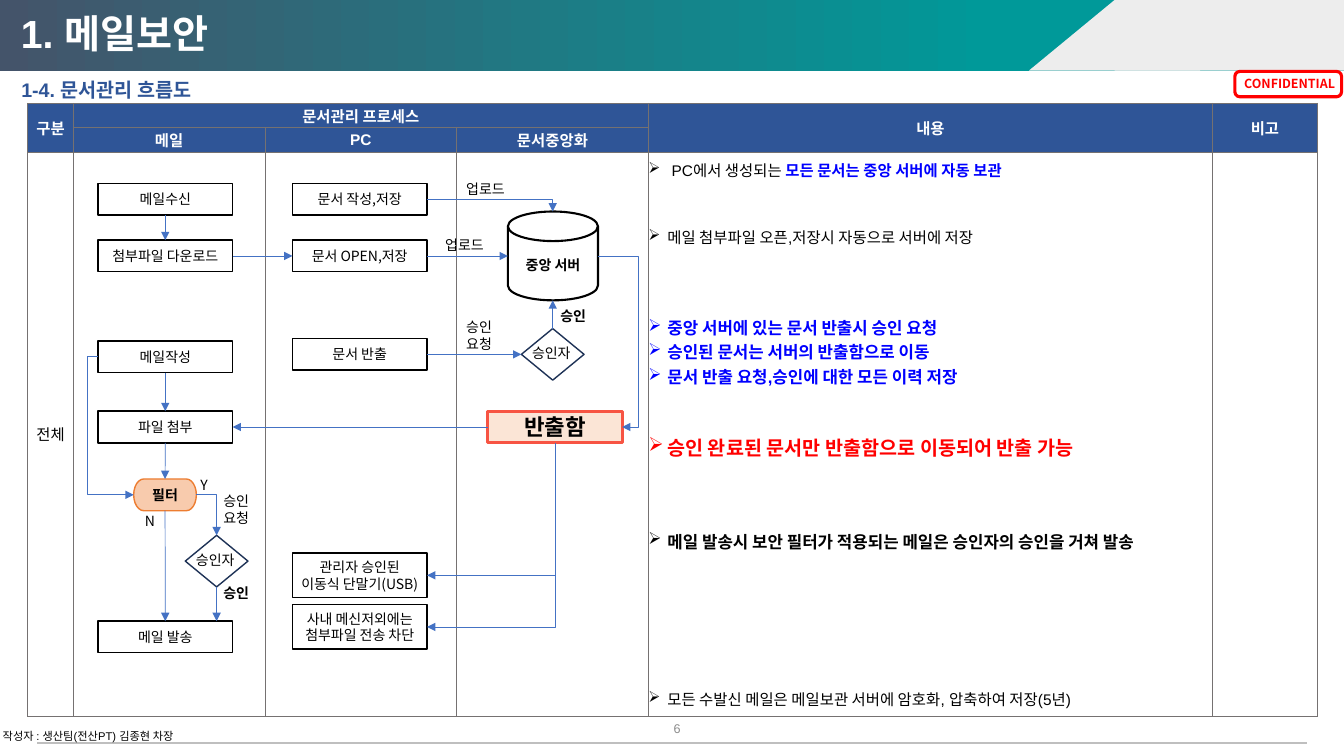
from lxml import etree
from pptx import Presentation
from pptx import util as u
from pptx.dml.color import RGBColor
from pptx.enum import shapes, text
from pptx.oxml import parse_xml
from pptx.oxml.ns import nsdecls, qn

Cm, Pt = u.Cm, u.Pt
SANS, KOREAN = "Arial", "Noto Sans CJK KR"
NAVY, GREY, BLACK, WHITE, RED, BLUE = "2F5597", "EDEDED", "000000", "FFFFFF", "FF0000", "0000FF"
PRESET = shapes.MSO_SHAPE
ALIGN, ANCHOR = text.PP_ALIGN, text.MSO_ANCHOR
TOP, LEFT, BOTTOM, RIGHT = range(4)

BOX_W, BOX_H, TALL_H = 3.39, 0.8, 1.12
MAIL_X, PC_X, RETURN_X = 2.47, 7.37, 12.29
NODE_W, DIAMOND_H = 1.58, 1.3
COLUMNS = (1.15, 4.83, 4.83, 4.83, 14.22, 2.64)
ROWS = (0.62, 0.62, 14.2)
BLANK_LINE = 16

NORMAL = {"size": 11, "color": BLACK}
STRONG = {"size": 12, "bold": True}
# lines of room above, then the runs of each point
POINTS = [
    (0, [(" PC에서 생성되는 ", NORMAL),
         ("모든 문서는 중앙 서버에 자동 보관", {"size": 11, "color": BLUE, "bold": True})]),
    (2, [("메일 첨부파일 오픈,저장시 자동으로 서버에 저장", NORMAL)]),
    (3, [("중앙 서버에 있는 문서 반출시 승인 요청", {**STRONG, "color": BLUE})]),
    (0, [("승인된 문서는 서버의 반출함으로 이동", {**STRONG, "color": BLUE})]),
    (0, [("문서 반출 요청,승인에 대한 모든 이력 저장", {**STRONG, "color": BLUE})]),
    (2, [("승인 완료된 문서만 반출함으로 이동되어 반출 가능",
          {"size": 14, "color": RED, "bold": True})]),
    (3, [("메일 발송시 보안 필터가 적용되는 메일은 승인자의 승인을 거쳐 발송",
          {**STRONG, "color": BLACK})]),
    (6, [("모든 수발신 메일은 메일보관 서버에 암호화, 압축하여 저장(5년)", NORMAL)]),
]


def rgb(value):
    return RGBColor.from_string(value)


def add_run(paragraph, words, size=10, color=BLACK, name=SANS, bold=False):
    run = paragraph.add_run()
    run.text = words
    for key, value in {"size": Pt(size), "name": name, "bold": bold}.items():
        setattr(run.font, key, value)
    run.font.color.rgb = rgb(color)
    run.font._element.find(qn("a:latin")).addnext(
        etree.Element(qn("a:ea"), typeface=KOREAN))


def write(frame, words, align=ALIGN.LEFT, **font):
    for index, line in enumerate(words.split("\n")):
        paragraph = frame.add_paragraph() if index else frame.paragraphs[0]
        paragraph.alignment = align
        add_run(paragraph, line, **font)


def clear_margins(holder):
    for side in ("left", "top", "right", "bottom"):
        setattr(holder, f"margin_{side}", 0)


def add_shape(slide, kind, x, y, w, h, fill=None, line=None, weight=1):
    shape = slide.shapes.add_shape(kind, Cm(x), Cm(y), Cm(w), Cm(h))
    shape.shadow.inherit = False
    for part, color in ((shape.fill, fill), (shape.line.fill, line)):
        if color:
            part.solid()
            part.fore_color.rgb = rgb(color)
        else:
            part.background()
    if line:
        shape.line.width = Pt(weight)
    return shape


def add_step(slide, words, x, y, w=BOX_W, h=BOX_H, kind=PRESET.RECTANGLE,
             fill=None, line=BLACK, weight=1, **font):
    step = add_shape(slide, kind, x, y, w, h, fill, line, weight)
    frame = step.text_frame
    clear_margins(frame)
    frame.word_wrap = True
    frame.vertical_anchor = ANCHOR.MIDDLE
    write(frame, words, ALIGN.CENTER, **{"name": KOREAN, **font})
    return step


def add_label(slide, words, x, y, w, h=0.68, wrap=False, align=ALIGN.LEFT, **font):
    frame = slide.shapes.add_textbox(Cm(x), Cm(y), Cm(w), Cm(h)).text_frame
    frame.word_wrap = wrap
    write(frame, words, align, **{"name": KOREAN, **font})
    return frame


def add_approver(slide, x, y):
    add_label(slide, "승인자", x + 0.02, y + 0.28, NODE_W)
    return add_shape(slide, PRESET.DIAMOND, x, y, NODE_W, DIAMOND_H, line="1E3256")


def connect(slide, start, end, preset=None, bend=None, color="4472C4", weight=0.5,
            arrow="tailEnd"):
    """Join two ends, each a point in cm or a (shape, side) pair."""
    kind = shapes.MSO_CONNECTOR.ELBOW if preset else shapes.MSO_CONNECTOR.STRAIGHT
    points = [(0, 0) if hasattr(end_, "shape_type") else (end_, other)
              for end_, other in (start, end)]
    link = slide.shapes.add_connector(kind, *(Cm(v) for point in points for v in point))
    for (target, side), join in ((start, link.begin_connect), (end, link.end_connect)):
        if hasattr(target, "shape_type"):
            join(target, side)
    link.line.color.rgb = rgb(color)
    link.line.width = Pt(weight)
    properties = link._element.spPr
    if preset:
        geometry = properties.find(qn("a:prstGeom"))
        geometry.set("prst", preset)
        if bend is not None:
            etree.SubElement(geometry.find(qn("a:avLst")), qn("a:gd"),
                             name="adj1", fmla=f"val {round(bend * 100000)}")
    if arrow:
        etree.SubElement(properties.find(qn("a:ln")), qn(f"a:{arrow}"), type="triangle")
    etree.SubElement(properties, qn("a:effectLst"))


def add_banner(slide):
    band = add_shape(slide, PRESET.RECTANGLE, 0, 0, 33.87, 1.78)
    band.fill.gradient()
    band.fill.gradient_angle = 0
    for stop, color, position in zip(band.fill.gradient_stops, ("44546A", "009999"), (0, 0.74)):
        stop.color.rgb = rgb(color)
        stop.position = position
    add_shape(slide, PRESET.ISOSCELES_TRIANGLE, 25.93, 0, 4.32, 1.78, GREY)
    add_shape(slide, PRESET.RECTANGLE, 28.09, 0, 5.78, 1.78, GREY)
    add_label(slide, "1. 메일보안", 0.28, 0.1, 25.73, 1.45, size=28, color=WHITE,
              name=SANS, bold=True)
    add_label(slide, " 1-4. 문서관리 흐름도", 0.15, 1.83, 20, 0.81, size=14, color=NAVY,
              name=SANS, bold=True)
    add_label(slide, "CONFIDENTIAL", 30.94, 1.8, 3.12, 0.64, True, ALIGN.CENTER,
              size=8.9, color=RED, bold=True)
    stamp = add_shape(slide, PRESET.ROUNDED_RECTANGLE, 31.12, 1.8, 2.69, 0.64,
                      line=RED, weight=2.25)
    stamp.adjustments[0] = 0.2


def add_footer(slide):
    connect(slide, (0.94, 18.72), (32.94, 18.72), color="BFBFBF", weight=1, arrow=None)
    add_label(slide, "작성자 : 생산팀(전산PT) 김종현 차장", -0.18, 18.26, 5.18, 0.61, True,
              size=8, name=SANS)
    add_label(slide, "6", 16.41, 18.03, 0.99, 0.61, True, ALIGN.RIGHT, size=9,
              color="8C8C8C", name=SANS)


def format_cell(cell, fill):
    clear_margins(cell)
    cell.vertical_anchor = ANCHOR.MIDDLE
    properties = cell._tc.get_or_add_tcPr()
    for edge in "LRTB":
        properties.append(parse_xml(
            f'<a:ln{edge} {nsdecls("a")} w="6350"><a:solidFill><a:srgbClr val="757171"/>'
            f'</a:solidFill></a:ln{edge}>'))
    if fill:
        cell.fill.solid()
        cell.fill.fore_color.rgb = rgb(fill)
    else:
        cell.fill.background()


def add_points(frame):
    for index, (room, runs) in enumerate(POINTS):
        paragraph = frame.add_paragraph() if index else frame.paragraphs[0]
        properties = paragraph._p.get_or_add_pPr()
        properties.set("marL", str(Cm(0.48)))
        properties.set("indent", str(-Cm(0.48)))
        etree.SubElement(properties, qn("a:buChar"), char="➢")
        if room:
            paragraph.space_before = Pt(room * BLANK_LINE)
        for words, font in runs:
            add_run(paragraph, words, **font)


def add_process_table(slide):
    table = slide.shapes.add_table(len(ROWS), len(COLUMNS), Cm(0.7), Cm(2.6),
                                   Cm(sum(COLUMNS)), Cm(sum(ROWS))).table
    for column, width in zip(table.columns, COLUMNS):
        column.width = Cm(width)
    for index, height in enumerate(ROWS):
        table.rows[index].height = Cm(height)
        for cell in table.rows[index].cells:
            format_cell(cell, NAVY if index < 2 else None)
    for column in (0, 4, 5):
        table.cell(0, column).merge(table.cell(1, column))
    table.cell(0, 1).merge(table.cell(0, 3))
    headings = {(0, 0): "구분", (0, 1): "문서관리 프로세스", (0, 4): "내용", (0, 5): "비고",
                (1, 1): "메일", (1, 2): "PC", (1, 3): "문서중앙화"}
    for place, words in headings.items():
        write(table.cell(*place).text_frame, words, ALIGN.CENTER, size=11, color=WHITE, bold=True)
    write(table.cell(2, 0).text_frame, "전체", ALIGN.CENTER, size=11)
    add_points(table.cell(2, 4).text_frame)


def add_flow(slide):
    add_shape(slide, PRESET.FLOWCHART_MAGNETIC_DISK, 12.8, 5.33, 2.27, 2.24, WHITE, BLACK, 1.5)
    add_label(slide, "중앙 서버", 12.8, 6.35, 2.27, 0.68, True, ALIGN.CENTER, bold=True)
    receive = add_step(slide, "메일수신", MAIL_X, 4.62)
    download = add_step(slide, "첨부파일 다운로드", MAIL_X, 6.05)
    compose = add_step(slide, "메일작성", MAIL_X, 8.59)
    attach = add_step(slide, "파일 첨부", MAIL_X, 10.36)
    mail_filter = add_step(slide, "필터", 3.37, 12.07, NODE_W, kind=PRESET.FLOWCHART_TERMINATOR,
                           fill="F8CBAD", line="ED7D31", bold=True)
    send = add_step(slide, "메일 발송", MAIL_X, 15.65)
    create = add_step(slide, "문서 작성,저장", PC_X, 4.62)
    reopen = add_step(slide, "문서 OPEN,저장", PC_X, 6.05)
    export = add_step(slide, "문서 반출", PC_X, 8.53)
    usb = add_step(slide, "관리자 승인된\n이동식 단말기(USB)", PC_X, 13.94, h=TALL_H)
    messenger = add_step(slide, "사내 메신저외에는 첨부파일 전송 차단", PC_X, 15.24, h=TALL_H)
    outbox = add_step(slide, "반출함", RETURN_X, 10.36, fill="FBE5D6", line="F75443",
                      weight=2.25, size=16, name=SANS, bold=True)
    server_approver = add_approver(slide, 13.14, 8.28)
    mail_approver = add_approver(slide, 4.67, 13.49)

    for start, end in (((receive, BOTTOM), (download, TOP)),
                       ((download, RIGHT), (reopen, LEFT)),
                       ((reopen, RIGHT), (12.8, 6.45)),
                       ((export, RIGHT), (server_approver, LEFT)),
                       ((server_approver, TOP), (13.93, 7.57)),
                       ((compose, BOTTOM), (attach, TOP)),
                       ((outbox, LEFT), (attach, RIGHT)),
                       ((attach, BOTTOM), (mail_filter, TOP)),
                       ((mail_filter, BOTTOM), (send, TOP)),
                       ((mail_approver, BOTTOM), (5.46, 15.65))):
        connect(slide, start, end)
    connect(slide, (create, RIGHT), (13.93, 5.33), "bentConnector2")
    connect(slide, (mail_filter, RIGHT), (mail_approver, TOP), "bentConnector2")
    connect(slide, (15.07, 6.45), (outbox, RIGHT), "bentConnector3", 1.66)
    connect(slide, (compose, LEFT), (mail_filter, LEFT), "bentConnector3", -0.29)
    for target in (usb, messenger):
        connect(slide, (target, RIGHT), (outbox, BOTTOM), "bentConnector2", arrow="headEnd")

    for words, x, y, width, bold in (
            ("업로드", 11.5, 4.42, 1.73, False), ("업로드", 10.97, 5.84, 1.73, False),
            ("승인\n요청", 11.5, 7.9, 1.22, False), ("승인", 13.87, 7.62, 1.22, True),
            ("승인\n요청", 5.38, 12.29, 1.22, False), ("승인", 5.38, 14.6, 1.22, True),
            ("Y", 4.8, 11.89, 0.71, False), ("N", 3.4, 12.8, 0.79, False)):
        add_label(slide, words, x, y, width, bold=bold)


def main():
    deck = Presentation()
    deck.slide_width, deck.slide_height = Cm(33.87), Cm(19.05)
    slide = deck.slides.add_slide(deck.slide_layouts[6])
    add_banner(slide)
    add_footer(slide)
    add_process_table(slide)
    add_flow(slide)
    deck.save("out.pptx")


if __name__ == "__main__":
    main()
